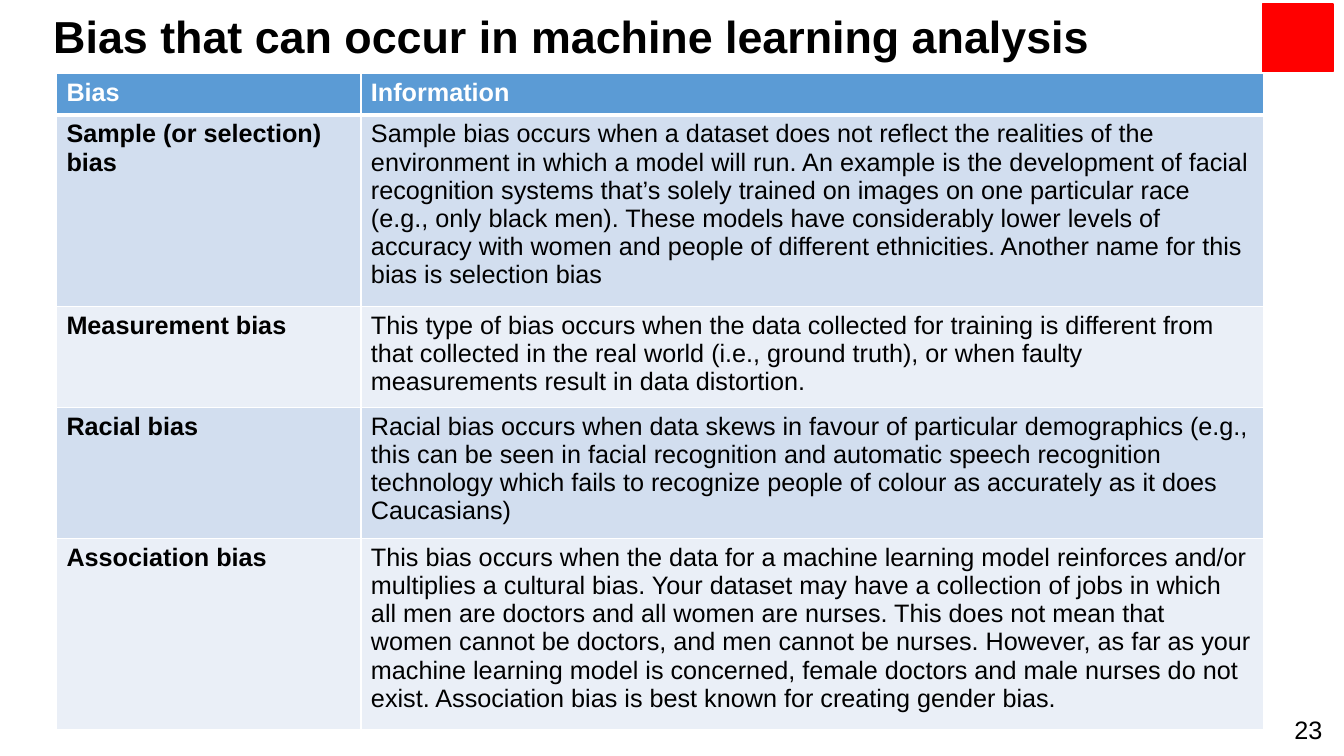
from dataclasses import dataclass

import lxml.etree
import pptx
import pptx.dml.color
import pptx.enum.shapes
import pptx.enum.text
import pptx.oxml.ns
import pptx.util

Inches = pptx.util.Inches
Pt = pptx.util.Pt


@dataclass(frozen=True)
class Theme:
    font: str = "Arial"
    ink: str = "000000"
    paper: str = "FFFFFF"
    accent: str = "FF0000"
    head: str = "5B9BD5"
    odd: str = "D2DEEF"
    even: str = "EAEFF7"
    title: int = 32
    body: int = 18
    rule: int = 1
    thick: int = 3


@dataclass(frozen=True)
class Label:
    text: str
    left: float
    top: float
    width: float
    height: float
    size: int
    bold: bool
    anchor: pptx.enum.text.MSO_ANCHOR
    spacing: float


@dataclass(frozen=True)
class Bias:
    name: str
    info: str


THEME = Theme()
ANCHOR = pptx.enum.text.MSO_ANCHOR

LABELS = [
    Label("Bias that can occur in machine learning analysis",
          0.43, 0.13, 12.37, 0.52, THEME.title, True, ANCHOR.MIDDLE, 0.9),
    Label("23", 12.74, 7.04, 0.59, 0.16, THEME.body, False, ANCHOR.TOP, 1.0),
]

ROWS = [
    Bias("Bias", "Information"),
    Bias("Sample (or selection) bias",
         "Sample bias occurs when a dataset does not reflect the realities of the "
         "environment in which a model will run. An example is the development of "
         "facial recognition systems that’s solely trained on images on one "
         "particular race (e.g., only black men). These models have considerably "
         "lower levels of accuracy with women and people of different ethnicities. "
         "Another name for this bias is selection bias"),
    Bias("Measurement bias",
         "This type of bias occurs when the data collected for training is "
         "different from that collected in the real world (i.e., ground truth), or "
         "when faulty measurements result in data distortion."),
    Bias("Racial bias",
         "Racial bias occurs when data skews in favour of particular demographics "
         "(e.g., this can be seen in facial recognition and automatic speech "
         "recognition technology which fails to recognize people of colour as "
         "accurately as it does Caucasians)"),
    Bias("Association bias",
         "This bias occurs when the data for a machine learning model reinforces "
         "and/or multiplies a cultural bias. Your dataset may have a collection of "
         "jobs in which all men are doctors and all women are nurses. This does not "
         "mean that women cannot be doctors, and men cannot be nurses. However, as "
         "far as your machine learning model is concerned, female doctors and male "
         "nurses do not exist. Association bias is best known for creating gender "
         "bias."),
]


def color(code: str) -> pptx.dml.color.RGBColor:
    return pptx.dml.color.RGBColor.from_string(code)


def add_run(para, text: str, size: int, ink: str, bold: bool) -> None:
    run = para.add_run()
    run.text = text
    run.font.name = THEME.font
    run.font.size = Pt(size)
    run.font.bold = bold
    run.font.color.rgb = color(ink)


def add_label(slide, label: Label) -> None:
    box = slide.shapes.add_textbox(Inches(label.left), Inches(label.top),
                                   Inches(label.width), Inches(label.height))
    frame = box.text_frame
    frame.word_wrap = True
    frame.vertical_anchor = label.anchor
    para = frame.paragraphs[0]
    para.line_spacing = label.spacing
    add_run(para, label.text, label.size, THEME.ink, label.bold)


def add_block(slide) -> None:
    block = slide.shapes.add_shape(pptx.enum.shapes.MSO_SHAPE.RECTANGLE,
                                   Inches(12.52), Inches(0.04),
                                   Inches(0.7), Inches(0.67))
    block.shadow.inherit = False
    block.fill.solid()
    block.fill.fore_color.rgb = color(THEME.accent)
    block.line.color.rgb = color(THEME.accent)
    block.line.width = Pt(1)


def add_edge(cell, side: str, width: int) -> None:
    qn = pptx.oxml.ns.qn
    props = cell._tc.get_or_add_tcPr()
    line = lxml.etree.SubElement(props, qn(f"a:ln{side}"), w=str(Pt(width)))
    fill = lxml.etree.SubElement(line, qn("a:solidFill"))
    lxml.etree.SubElement(fill, qn("a:srgbClr"), val=THEME.paper)


def fill_cell(cell, text: str, row: int, col: int) -> None:
    edges = {"L": THEME.rule, "R": THEME.rule,
             "T": THEME.thick if row == 1 else THEME.rule,
             "B": THEME.thick if row == 0 else THEME.rule}
    for side, width in edges.items():
        add_edge(cell, side, width)
    band = THEME.odd if row % 2 else THEME.even
    cell.fill.solid()
    cell.fill.fore_color.rgb = color(band if row else THEME.head)
    add_run(cell.text_frame.paragraphs[0], text, THEME.body,
            THEME.ink if row else THEME.paper, row == 0 or col == 0)


def add_grid(slide) -> None:
    frame = slide.shapes.add_table(len(ROWS), 2, Inches(0.56), Inches(0.73),
                                   Inches(11.97), Inches(6.51))
    table = frame.table
    for column, width in zip(table.columns, (3.02, 8.95)):
        column.width = Inches(width)
    for row, bias in enumerate(ROWS):
        table.rows[row].height = Inches(0.41)
        for col, text in enumerate((bias.name, bias.info)):
            fill_cell(table.cell(row, col), text, row, col)
    frame.height = Inches(6.51)


def main() -> None:
    deck = pptx.Presentation()
    deck.slide_width = Inches(13.33)
    deck.slide_height = Inches(7.5)
    slide = deck.slides.add_slide(deck.slide_layouts[6])
    add_block(slide)
    for label in LABELS:
        add_label(slide, label)
    add_grid(slide)
    deck.save("out.pptx")


if __name__ == "__main__":
    main()
